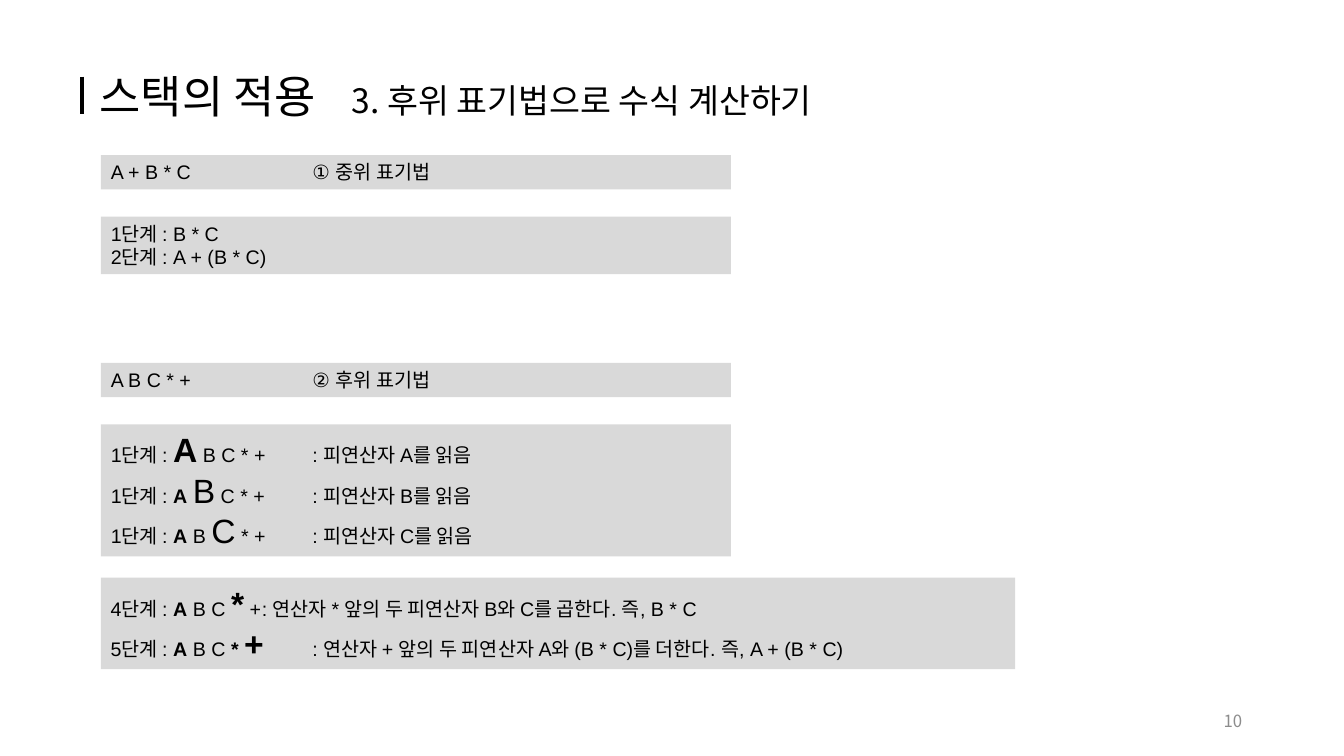
import lxml.etree
import pptx
import pptx.dml.color
import pptx.enum.shapes
import pptx.enum.text
import pptx.oxml.ns
import pptx.util

Inches = pptx.util.Inches
COLORS = {"text": "000000", "panel": "D9D9D9", "number": "8C8C8C"}
KOREAN = "Noto Sans CJK KR"
LATIN = "Arial"
BODY, LARGE, TITLE, NUMBER = 14, 24, 32, 12
SYMBOLS = "ABC*+"
OPERAND_STEPS = [
    ("1단계", 0, "피연산자 A를 읽음"),
    ("1단계", 1, "피연산자 B를 읽음"),
    ("1단계", 2, "피연산자 C를 읽음"),
]
OPERATOR_STEPS = [
    ("4단계", 3, "연산자 * 앞의 두 피연산자 B와 C를 곱한다. 즉, B * C"),
    ("5단계", 4, "연산자 + 앞의 두 피연산자 A와 (B * C)를 더한다. 즉, A + (B * C)"),
]


class SlideBuilder:
    """Holds the slide and its style, and adds each kind of element."""

    def __init__(self, slide):
        self.slide = slide

    def color(self, name):
        return pptx.dml.color.RGBColor.from_string(COLORS[name])

    def child(self, parent, tag, **attributes):
        return lxml.etree.SubElement(parent, pptx.oxml.ns.qn(tag), **attributes)

    def fill_text(self, frame, lines, font=LATIN, color="text", align="LEFT"):
        frame.word_wrap = True
        for index, line in enumerate(lines):
            paragraph = frame.add_paragraph() if index else frame.paragraphs[0]
            paragraph.alignment = pptx.enum.text.PP_ALIGN[align]
            for text, size, bold in line:
                run = paragraph.add_run()
                run.text = text
                run.font.size = pptx.util.Pt(size)
                run.font.bold = bold
                run.font.color.rgb = self.color(color)
                run.font.name = font
                self.child(run.font._element, "a:ea", typeface=KOREAN)

    def text(self, box, line, **style):
        shape = self.slide.shapes.add_textbox(*map(Inches, box))
        self.fill_text(shape.text_frame, [line], KOREAN, **style)
        return shape.text_frame

    def tab_stop(self, paragraph, position):
        properties = paragraph._p.get_or_add_pPr()
        tabs = self.child(properties, "a:tabLst")
        self.child(tabs, "a:tab", pos=str(Inches(position)), algn="l")

    def bar(self, x, top, bottom):
        line = self.slide.shapes.add_connector(
            pptx.enum.shapes.MSO_CONNECTOR.STRAIGHT,
            Inches(x), Inches(top), Inches(x), Inches(bottom))
        line.line.color.rgb = self.color("text")
        line.line.width = pptx.util.Pt(3)
        self.child(line._element.spPr, "a:effectLst")

    def panel(self, top, height, lines, width=6.25):
        shape = self.slide.shapes.add_shape(
            pptx.enum.shapes.MSO_SHAPE.RECTANGLE,
            Inches(1), Inches(top), Inches(width), Inches(height))
        shape.shadow.inherit = False
        shape.fill.solid()
        shape.fill.fore_color.rgb = self.color("panel")
        shape.line.fill.background()
        frame = shape.text_frame
        frame.vertical_anchor = pptx.enum.text.MSO_ANCHOR.TOP
        frame.auto_size = pptx.enum.text.MSO_AUTO_SIZE.SHAPE_TO_FIT_TEXT
        self.fill_text(frame, lines)


def plain(text):
    return [(text, BODY, False)]


def step_line(label, current, explanation):
    line = plain(f"{label} : ")
    for index, symbol in enumerate(SYMBOLS):
        if index:
            line += plain(" ")
        bold = symbol in "A*+" and index <= current
        line.append((symbol, LARGE if index == current else BODY, bold))
    return line + plain(f"\t: {explanation}")


def main():
    presentation = pptx.Presentation()
    presentation.slide_width = Inches(13.33)
    presentation.slide_height = Inches(7.5)
    slide = presentation.slides.add_slide(presentation.slide_layouts[6])
    builder = SlideBuilder(slide)

    title = builder.text((0.89, 0.63, 7.98, 0.64), [
        ("스택의 적용\t", TITLE, False),
        ("3. 후위 표기법으로 수식 계산하기", LARGE, False)])
    builder.tab_stop(title.paragraphs[0], 2.5)
    builder.bar(0.81, 0.76, 1.13)
    number = builder.text((9.42, 6.95, 3, 0.4), [("10", NUMBER, False)],
                          color="number", align="RIGHT")
    number.vertical_anchor = pptx.enum.text.MSO_ANCHOR.MIDDLE

    builder.panel(1.54, 0.34, [plain("A + B * C\t\t\t① 중위 표기법")])
    builder.panel(2.15, 0.57, [plain("1단계 : B * C"), plain("2단계 : A + (B * C)")])
    builder.panel(3.6, 0.34, [plain("A B C * +\t\t\t② 후위 표기법")])
    builder.panel(4.21, 1.31, [step_line(*step) for step in OPERAND_STEPS])
    builder.panel(5.73, 0.91, [step_line(*step) for step in OPERATOR_STEPS], 9.07)

    presentation.save("out.pptx")


if __name__ == "__main__":
    main()
